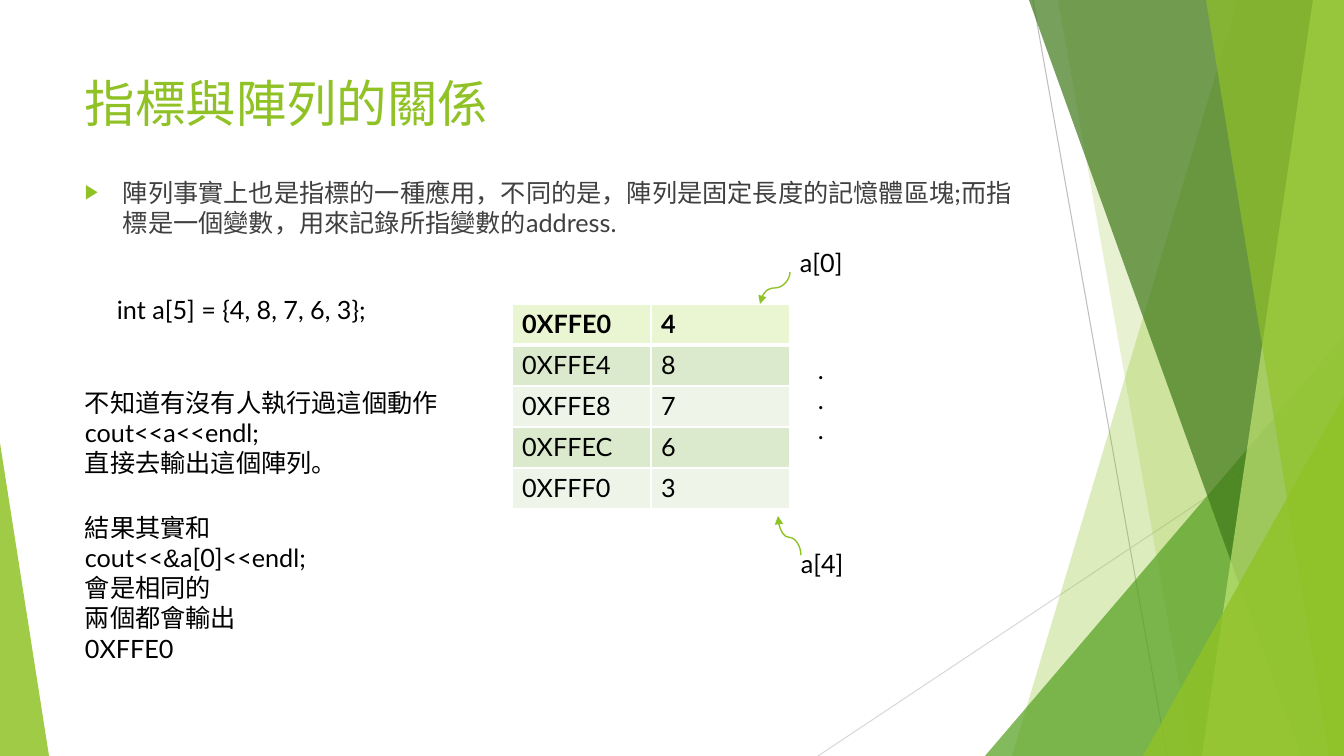
"""Builds the slide on how pointers relate to arrays."""
from lxml.etree import SubElement as Sub
from pptx import Presentation
from pptx.dml.color import RGBColor
from pptx.enum.shapes import MSO_CONNECTOR as Link, MSO_SHAPE as Kind
from pptx.oxml.ns import qn
from pptx.util import Emu, Pt

SCALE = 914400 / 100.8
WIDE, HIGH = 1344, 756
FONT, LIME, WHITE, BLACK = "Lato", "90C226", "FFFFFF", "000000"

RAYS = [((1033, 0), (1167, HIGH), "BFBFBF"),
        ((WIDE, 406), (818, HIGH), "D9D9D9")]
# Bands hold top-left, top-right, bottom-right and bottom-left x; wedges hold left, top, width, apex.
PANELS = [("band", (1238, WIDE, WIDE, 1012), LIME, 30),
          ("band", (1058, WIDE, WIDE, 1192), LIME, 20),
          ("wedge", (985, 336, 359, 1), "54A021", 72),
          ("band", (1029, WIDE, WIDE, 1301), "3F7819", 70),
          ("band", (1313, WIDE, WIDE, 1202), "C0E474", 70),
          ("band", (1206, WIDE, WIDE, 1329), LIME, 65),
          ("wedge", (1143, 396, 201, 1), LIME, 80),
          ("wedge", (0, 443, 49, 0), LIME, 85)]

TITLE = ["指標與陣列的關係"]
BODY = ["陣列事實上也是指標的一種應用，不同的是，陣列是固定長度的記憶體區塊;"
        "而指標是一個變數，用來記錄所指變數的address."]
NOTES = [((107, 289, 296, 40), ["int a[5] = {4, 8, 7, 6, 3};"], False),
         ((790, 242, 66, 40), ["a[0]"], False),
         ((791, 543, 66, 40), ["a[4]"], False),
         ((808, 349, 29, 102), [".", ".", "."], False),
         ((75, 382, 377, 102),
          ["不知道有沒有人執行過這個動作", "cout<<a<<endl;", "直接去輸出這個陣列。"], False),
         ((75, 507, 254, 132),
          ["結果其實和", ("cout<<", "&", "a[0]<<endl;"), "會是相同的",
           "兩個都會輸出0XFFE0"], True)]
CELLS = [("0XFFE0", "4"), ("0XFFE4", "8"), ("0XFFE8", "7"),
         ("0XFFEC", "6"), ("0XFFF0", "3")]
HEAD, TINTS = "EAF6D1", ("EEF4E8", "DBE9CD")
GRID, COL, ROW = (512, 304), 139, 41
CURVES = [((790, 272), (760, 304), 50000), ((801, 555), (778, 516), 45200)]


def px(*nums):
    return [Emu(round(n * SCALE)) for n in nums]


def rgb(code):
    return RGBColor.from_string(code)


def style(para, size, color, bold=False):
    font = para.font
    font.name, font.size, font.bold = FONT, Pt(size), bold
    font.color.rgb = rgb(color)


def bullet(para):
    props = para._p.get_or_add_pPr()
    dent = px(38)[0]
    props.set("marL", str(dent))
    props.set("indent", str(-dent))
    Sub(Sub(props, qn("a:buClr")), qn("a:srgbClr"), val=LIME)
    Sub(props, qn("a:buSzPct"), val="80000")
    Sub(props, qn("a:buFont"), typeface="Arial")
    Sub(props, qn("a:buChar"), char="▶")


def write(slide, box, lines, size=18, color=BLACK, wrap=True, mark=False):
    frame = slide.shapes.add_textbox(*px(*box)).text_frame
    frame.word_wrap = wrap
    for i, line in enumerate(lines):
        para = frame.add_paragraph() if i else frame.paragraphs[0]
        for part in [line] if isinstance(line, str) else line:
            run = para.add_run()
            run.text = part
            if part == "&":
                run.font.name = "Arial"
        if mark:
            bullet(para)
        style(para, size, color)


def panel(slide, kind, dims, color, alpha):
    if kind == "band":
        a, b, c, d = dims
        form = slide.shapes.build_freeform(a, 0, SCALE)
        form.add_line_segments([(b, 0), (c, HIGH), (d, HIGH)], close=True)
        shape = form.convert_to_shape()
    else:
        left, top, width, apex = dims
        shape = slide.shapes.add_shape(
            Kind.ISOSCELES_TRIANGLE, *px(left, top, width, HIGH - top))
        shape.adjustments[0] = apex
    shape.shadow.inherit = False
    shape.fill.solid()
    shape.fill.fore_color.rgb = rgb(color)
    tone = shape.element.xpath("./p:spPr/a:solidFill/a:srgbClr")[0]
    Sub(tone, qn("a:alpha"), val=str(alpha * 1000))
    shape.line.fill.background()


def link(slide, kind, start, end, color, width):
    line = slide.shapes.add_connector(kind, *px(*start, *end))
    line.line.color.rgb = rgb(color)
    line.line.width = Pt(width)
    Sub(line.element.spPr, qn("a:effectLst"))
    return line


def curve(slide, start, end, bend):
    (x1, y1), (x2, y2) = start, end
    midx, midy = (x1 + x2) / 2, (y1 + y2) / 2
    dx, dy = (y2 - y1) / 2, (x1 - x2) / 2
    line = link(slide, Link.CURVE, (midx - dx, midy - dy),
                (midx + dx, midy + dy), LIME, 1)
    props = line.element.spPr
    props.find(qn("a:xfrm")).set("rot", "5400000")
    Sub(props.find(".//" + qn("a:avLst")), qn("a:gd"),
        name="adj1", fmla=f"val {bend}")
    Sub(props.find(qn("a:ln")), qn("a:tailEnd"), type="triangle")


def edge(cell, side, width):
    line = Sub(cell._tc.get_or_add_tcPr(), qn("a:ln" + side),
               w=str(Pt(width)))
    Sub(Sub(line, qn("a:solidFill")), qn("a:srgbClr"), val=WHITE)


def grid(slide):
    rows, cols = len(CELLS), len(CELLS[0])
    table = slide.shapes.add_table(
        rows, cols, *px(*GRID, COL * cols, ROW * rows)).table
    for r, line in enumerate(CELLS):
        for c, text in enumerate(line):
            cell = table.cell(r, c)
            cell.text = text
            style(cell.text_frame.paragraphs[0], 18, BLACK, r == 0)
            for side in "LRTB":
                thick = (r, side) in ((0, "B"), (1, "T"))
                edge(cell, side, 3 if thick else 1)
            cell.fill.solid()
            cell.fill.fore_color.rgb = rgb(TINTS[r % 2] if r else HEAD)


def main():
    deck = Presentation()
    deck.slide_width, deck.slide_height = px(WIDE, HIGH)
    slide = deck.slides.add_slide(deck.slide_layouts[6])
    for start, end, color in RAYS:
        link(slide, Link.STRAIGHT, start, end, color, 0.75)
    for item in PANELS:
        panel(slide, *item)
    write(slide, (75, 67, 948, 145), TITLE, 36, LIME)
    write(slide, (75, 172, 948, 427), BODY, 18, "404040", mark=True)
    grid(slide)
    for box, lines, wrap in NOTES:
        write(slide, box, lines, wrap=wrap)
    for item in CURVES:
        curve(slide, *item)
    deck.save("out.pptx")


if __name__ == "__main__":
    main()
